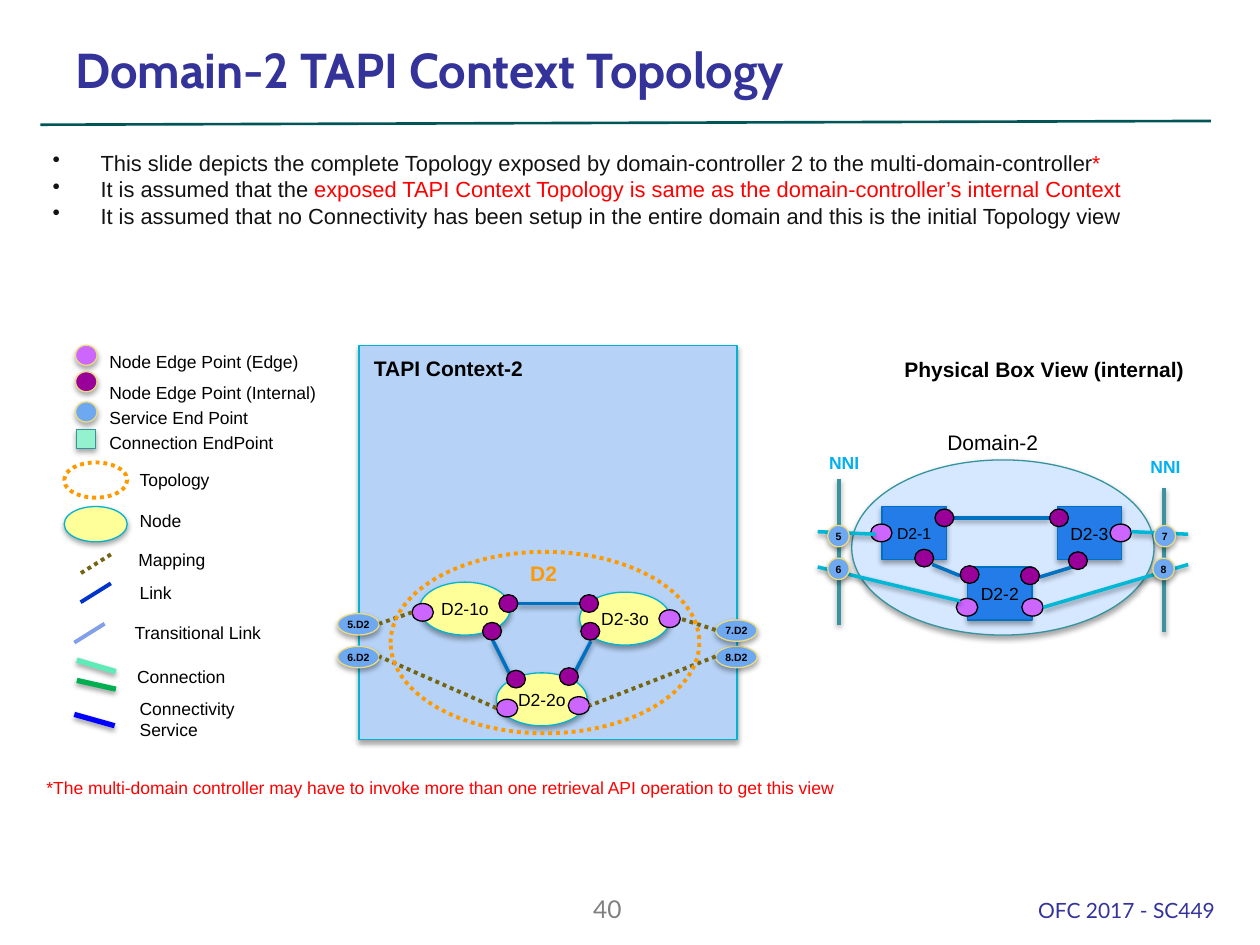
from dataclasses import dataclass
from typing import NamedTuple, Optional

from lxml.etree import SubElement
from pptx import Presentation
from pptx.dml.color import RGBColor
from pptx.enum.dml import MSO_LINE
from pptx.enum.shapes import MSO_CONNECTOR, MSO_SHAPE
from pptx.enum.text import MSO_ANCHOR, PP_ALIGN
from pptx.oxml.ns import qn
from pptx.util import Inches, Pt


@dataclass(frozen=True)
class Theme:
    body: str = "Arial"
    heading: str = "Cabin"
    footer: str = "Lato"
    black: str = "000000"
    ink: str = "141313"
    indigo: str = "333399"
    red: str = "FF0000"
    orange: str = "FF9900"
    sky: str = "00B0F0"
    gray: str = "808080"
    title_size: float = 28
    bullet_size: float = 12.5
    number_size: float = 14
    label_size: float = 12
    small_size: float = 10
    tiny_size: float = 6


class ShapeStyle(NamedTuple):
    fill: Optional[str]
    line: str
    width: float = 0.75
    shadow: bool = True
    dotted: bool = False
    preset: MSO_SHAPE = MSO_SHAPE.OVAL


class LineStyle(NamedTuple):
    color: str
    width: float = 2
    shadow: bool = True
    dotted: bool = False


class Run(NamedTuple):
    text: str
    size: float
    color: str = "000000"
    bold: bool = False
    font: str = "Arial"


THEME = Theme()
CONTEXT = ShapeStyle("B6D3F7", "00B4D1", preset=MSO_SHAPE.RECTANGLE)
NODE = ShapeStyle("FFFF99", "00B4D1")
TOPOLOGY = ShapeStyle(None, THEME.orange, 2.25, False, True)
SERVICE = ShapeStyle("6DA8F0", "EBDA84")
INTERNAL = ShapeStyle("990099", THEME.black, shadow=False)
EDGE = ShapeStyle("CC66FF", THEME.black, shadow=False)
DOMAIN = ShapeStyle("D6E8FF", "35939E")
BOX = ShapeStyle("247CE8", "0070C0", preset=MSO_SHAPE.RECTANGLE)
ENDPOINT = ShapeStyle("94F2CF", "35939E", preset=MSO_SHAPE.RECTANGLE)
RULE = LineStyle("005557", 1.5, False)
LINK = LineStyle("0070C0")
MAPPING = LineStyle("756513", 2.25, False, True)
BORDER = LineStyle("39949F")
UPLINK = LineStyle("00B8D6")

presentation = Presentation()
presentation.slide_width, presentation.slide_height = Inches(10), Inches(7.5)
slide = presentation.slides.add_slide(presentation.slide_layouts[6])


def add_shadow(effects, blur: float, distance: float, opacity: int) -> None:
    shadow = SubElement(effects, qn("a:outerShdw"), blurRad=str(Pt(blur)),
                        dist=str(Pt(distance)), dir="5400000", rotWithShape="0")
    color = SubElement(shadow, qn("a:srgbClr"), val=THEME.black)
    SubElement(color, qn("a:alpha"), val=str(opacity * 1000))


def add_run(paragraph, run: Run) -> None:
    text_run = paragraph.add_run()
    text_run.text = run.text
    font = text_run.font
    font.name, font.size, font.bold = run.font, Pt(run.size), run.bold
    font.color.rgb = RGBColor.from_string(run.color)


def draw_shape(style: ShapeStyle, left: float, top: float, width: float, height: float,
               label: Optional[Run] = None) -> None:
    shape = slide.shapes.add_shape(style.preset, Inches(left), Inches(top),
                                   Inches(width), Inches(height))
    shape.shadow.inherit = False
    if style.fill:
        shape.fill.solid()
        shape.fill.fore_color.rgb = RGBColor.from_string(style.fill)
    else:
        shape.fill.background()
    shape.line.color.rgb = RGBColor.from_string(style.line)
    shape.line.width = Pt(style.width)
    if style.dotted:
        shape.line.dash_style = MSO_LINE.ROUND_DOT
    if style.shadow:
        add_shadow(shape.element.spPr.find(qn("a:effectLst")), 3.1, 1.8, 35)
    if label:
        frame = shape.text_frame
        frame.word_wrap = False
        frame.vertical_anchor = MSO_ANCHOR.MIDDLE
        frame.margin_left = frame.margin_right = 0
        frame.paragraphs[0].alignment = PP_ALIGN.CENTER
        add_run(frame.paragraphs[0], label)


def draw_line(style: LineStyle, x1: float, y1: float, x2: float, y2: float) -> None:
    line = slide.shapes.add_connector(MSO_CONNECTOR.STRAIGHT, Inches(x1), Inches(y1),
                                      Inches(x2), Inches(y2))
    line.line.color.rgb = RGBColor.from_string(style.color)
    line.line.width = Pt(style.width)
    if style.dotted:
        line.line.dash_style = MSO_LINE.ROUND_DOT
    effects = SubElement(line.element.spPr, qn("a:effectLst"))
    if style.shadow:
        add_shadow(effects, 3.1, 1.6, 38)


def draw_text(left: float, top: float, width: float, height: float, run: Run,
              align: PP_ALIGN = PP_ALIGN.LEFT, wrap: bool = True):
    box = slide.shapes.add_textbox(Inches(left), Inches(top), Inches(width), Inches(height))
    box.text_frame.word_wrap = wrap
    box.text_frame.paragraphs[0].alignment = align
    add_run(box.text_frame.paragraphs[0], run)
    return box.text_frame


def draw_bullets(rows: list[list[Run]]) -> None:
    box = slide.shapes.add_textbox(Inches(0.32), Inches(1.18), Inches(9.24), Inches(1.07))
    frame = box.text_frame
    frame.word_wrap = True
    for index, runs in enumerate(rows):
        paragraph = frame.add_paragraph() if index else frame.paragraphs[0]
        properties = paragraph._p.get_or_add_pPr()
        properties.set("marL", str(Inches(0.38)))
        properties.set("indent", str(-Inches(0.38)))
        SubElement(properties, qn("a:buChar"), char="•")
        paragraph.line_spacing = 0.8
        paragraph.space_before = Pt(3 if index else 0)
        for run in runs:
            add_run(paragraph, run)


def draw_dots(internal: list[tuple], edge: list[tuple]) -> None:
    for style, width, corners in ((INTERNAL, 0.15, internal), (EDGE, 0.17, edge)):
        for left, top in corners:
            draw_shape(style, left, top, width, 0.14)


def draw_lines(style: LineStyle, ends: list[tuple]) -> None:
    for end in ends:
        draw_line(style, *end)


def draw_header() -> None:
    draw_line(RULE, 0.32, 0.99, 9.61, 0.96)
    title = draw_text(0.5, 0.28, 9, 0.55, Run("Domain-2 TAPI Context Topology", THEME.title_size,
                                              THEME.indigo, True, THEME.heading))
    title.vertical_anchor = MSO_ANCHOR.BOTTOM
    size, ink, red = THEME.bullet_size, THEME.ink, THEME.red
    draw_bullets([
        [Run("This slide depicts the complete Topology exposed by domain-controller 2 "
             "to the multi-domain-controller", size, ink), Run("*", size, red)],
        [Run("It is assumed that the ", size, ink),
         Run("exposed TAPI Context Topology is same as the domain-controller’s internal Context",
             size, red)],
        [Run("It is assumed that no Connectivity has been setup in the entire domain "
             "and this is the initial Topology view", size, ink)]])


def draw_context() -> None:
    draw_shape(CONTEXT, 2.85, 2.74, 3, 3.13)
    for name, left, top in (("D2-3o", 4.6, 4.7), ("D2-2o", 3.94, 5.34), ("D2-1o", 3.33, 4.62)):
        draw_shape(NODE, left, top, 0.72, 0.42, Run(name, THEME.small_size))
    for name, left, top in (("6.D2", 2.68, 5.13), ("5.D2", 2.68, 4.87),
                            ("8.D2", 5.68, 5.13), ("7.D2", 5.68, 4.92)):
        draw_shape(SERVICE, left, top, 0.33, 0.17, Run(name, THEME.tiny_size, bold=True))
    draw_lines(LINK, [(3.91, 5.08, 4.04, 5.34), (4.57, 5.32, 4.69, 5.09), (4.11, 4.79, 4.6, 4.79)])
    draw_dots([(3.96, 4.72), (3.83, 4.94), (4.61, 4.94), (4.6, 4.72), (4.44, 5.3), (4.02, 5.32)],
              [(3.27, 4.79), (3.94, 5.55), (5.23, 4.84), (4.51, 5.53)])
    draw_lines(MAPPING, [(3.94, 5.62, 3.01, 5.21), (3.27, 4.86, 3.01, 4.95),
                         (5.68, 5.21, 4.68, 5.6), (5.68, 5, 5.4, 4.91)])
    size = THEME.label_size
    draw_text(4.11, 4.4, 0.42, 0.3, Run("D2", size, THEME.orange, True), wrap=False)
    draw_shape(TOPOLOGY, 3.1, 4.38, 2.45, 1.44)
    draw_text(2.87, 2.77, 1.4, 0.3, Run("TAPI Context-2", size, bold=True), wrap=False)


def draw_physical_view() -> None:
    draw_lines(BORDER, [(6.66, 3.8, 6.66, 4.96), (9.24, 3.87, 9.24, 5.02)])
    draw_shape(DOMAIN, 6.76, 3.65, 2.4, 1.39)
    for name, left, top, size in (("D2-3", 8.39, 4.02, 10), ("D2-1", 7, 4.02, 9),
                                  ("D2-2", 7.68, 4.5, 10)):
        draw_shape(BOX, left, top, 0.51, 0.42, Run(name, size))
    draw_lines(LINK, [(7.57, 4.11, 8.33, 4.11), (7.4, 4.48, 7.62, 4.57), (8.51, 4.5, 8.25, 4.58)])
    draw_dots([(7.26, 4.36), (7.42, 4.04), (7.62, 4.49), (8.1, 4.5), (8.33, 4.04), (8.48, 4.38)],
              [(6.91, 4.16), (7.59, 4.75), (8.81, 4.16), (8.11, 4.75)])
    size = THEME.label_size
    draw_text(7.08, 2.78, 2.44, 0.3, Run("Physical Box View (internal)", size, bold=True), wrap=False)
    draw_text(7.42, 3.36, 1.06, 0.3, Run("Domain-2", size))
    draw_lines(UPLINK, [(6.49, 4.22, 6.95, 4.24), (6.49, 4.5, 7.62, 4.77),
                        (9.43, 4.24, 8.98, 4.22), (8.28, 4.82, 9.43, 4.48)])
    for name, left, top in (("5", 6.57, 4.17), ("6", 6.57, 4.43), ("7", 9.16, 4.17), ("8", 9.15, 4.43)):
        draw_shape(SERVICE, left, top, 0.17, 0.17, Run(name, THEME.tiny_size, bold=True))
    for left, top in ((8.95, 3.57), (6.4, 3.54)):
        draw_text(left, top, 0.6, 0.27, Run("NNI", THEME.small_size, THEME.sky, True), PP_ALIGN.CENTER)


def draw_legend() -> None:
    for style, top in ((EDGE, 2.74), (INTERNAL, 2.95), (SERVICE, 3.19)):
        draw_shape(style._replace(line=SERVICE.line, shadow=True), 0.6, top, 0.17, 0.16)
    draw_shape(ENDPOINT, 0.61, 3.41, 0.15, 0.15)
    draw_shape(TOPOLOGY, 0.51, 3.67, 0.5, 0.28)
    draw_shape(NODE, 0.51, 4.02, 0.5, 0.28)
    draw_line(MAPPING, 0.88, 4.4, 0.64, 4.55)
    draw_line(LineStyle("0033CC", 2.25, False), 0.88, 4.63, 0.64, 4.78)
    draw_line(LineStyle("81A0E9", 2.25, False), 0.83, 4.95, 0.59, 5.1)
    draw_line(LineStyle("5FEBB7", 3), 0.61, 5.24, 0.92, 5.33)
    draw_line(LineStyle("00B050", 3), 0.61, 5.4, 0.92, 5.47)
    draw_line(LineStyle("0000FF", 3), 0.59, 5.67, 0.91, 5.76)
    for name, left, top, width, height in (
            ("Node Edge Point (Edge)", 0.77, 2.74, 1.87, 0.2),
            ("Node Edge Point (Internal)", 0.77, 2.98, 1.87, 0.2),
            ("Service End Point", 0.77, 3.18, 1.51, 0.2),
            ("Connection EndPoint", 0.77, 3.38, 1.51, 0.2),
            ("Topology", 1.01, 3.67, 0.92, 0.2), ("Node", 1.01, 4, 0.92, 0.2),
            ("Mapping", 1, 4.31, 0.91, 0.2), ("Link", 1.01, 4.57, 0.92, 0.2),
            ("Transitional Link", 0.97, 4.89, 1.53, 0.2), ("Connection", 0.99, 5.24, 1.12, 0.2),
            ("Connectivity Service", 1.01, 5.49, 1.12, 0.44)):
        draw_text(left, top, width, height, Run(name, THEME.small_size))


def draw_footer() -> None:
    draw_text(0.27, 6.12, 6.58, 0.27, Run(
        "*The multi-domain controller may have to invoke more than one retrieval API operation "
        "to get this view", THEME.small_size, THEME.red))
    draw_text(4.34, 7.05, 0.96, 0.4, Run("40", THEME.number_size, THEME.gray, font=THEME.footer),
              PP_ALIGN.CENTER)
    draw_text(8.14, 7.07, 1.8, 0.28, Run("OFC 2017 - SC449", THEME.label_size, THEME.indigo,
                                         font=THEME.footer))


for draw_section in (draw_header, draw_context, draw_physical_view, draw_legend, draw_footer):
    draw_section()
presentation.save("out.pptx")
